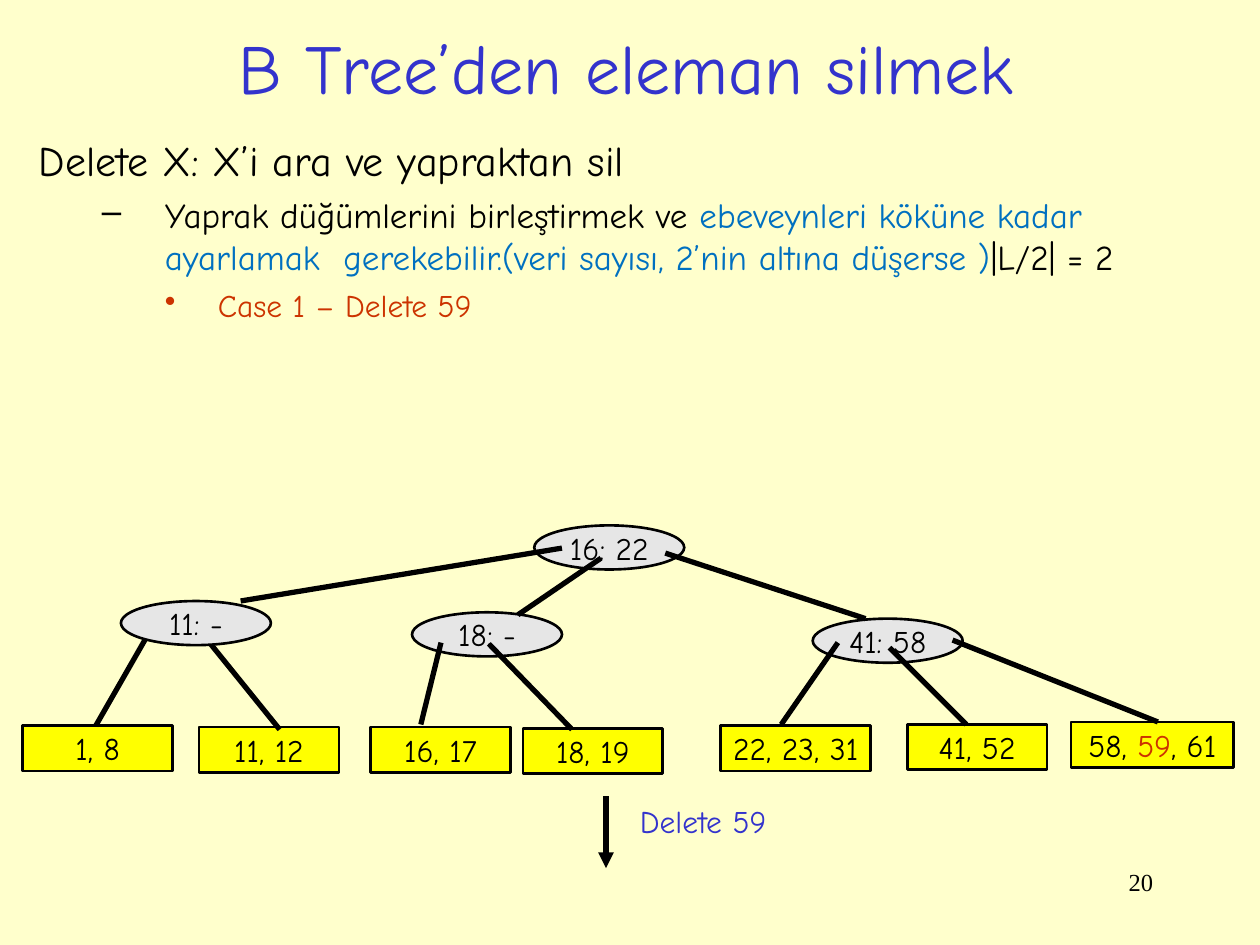
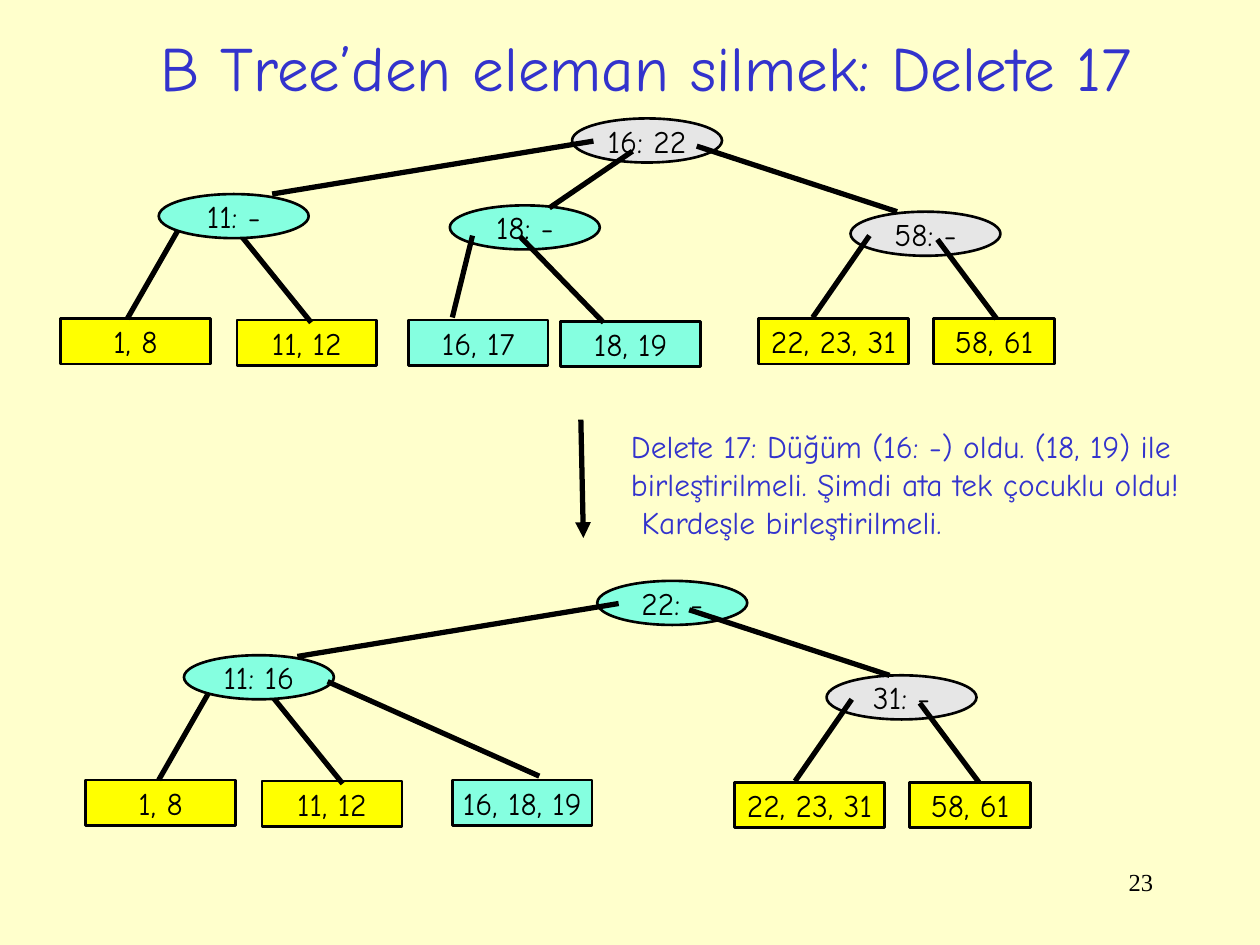
"""Two slides on deleting elements from a B tree, drawn on a grid of 100 columns by 75 rows."""
from pptx import Presentation
from pptx.dml.color import RGBColor
from pptx.enum.shapes import MSO_CONNECTOR, MSO_SHAPE
from pptx.enum.text import MSO_ANCHOR, MSO_AUTO_SIZE, PP_ALIGN
from pptx.oxml.ns import qn
from pptx.util import Inches, Pt
from lxml.etree import SubElement

COLUMNS, ROWS = 100, 75
HAND, SERIF = "Comic Neue", "Times New Roman"
INK, TITLE, RED, BLUE = "000000", "3333CC", "CC3300", "0070C0"
PAPER, GRAY, YELLOW, MINT = "FFFFCC", "E6E6E6", "FFFF00", "85FFE0"
NODE_WIDTH, NODE_HEIGHT, LEAF_HEIGHT = 11.9, 3.5, 3.6

LEAF_1_8 = ("1, 8", -7.8, 9.9, 11.9, (2.3, 2.4, -2, 9.9))
LEAF_11_12 = ("11, 12", 6.2, 10, 11.1, (6.3, 2.4, 12.6, 10.2))
LEAF_16_17 = ("16, 17", -3.3, 9.1, 11.1, (2.3, 2.4, 0.7, 8.9))
LEAF_18_19 = ("18, 19", 8.8, 9.2, 11.1, (6.1, 2.5, 12.7, 9.3))
LEAF_22_31 = ("22, 23, 31", -7.3, 8.5, 11.9, (2, 1.9, -2.5, 8.4))
LEAF_41_52 = ("41, 52", 7.5, 8.4, 11.1, (6.1, 2.3, 12.2, 8.4))
LEAF_58_61 = ("58, 61", 6.6, 8.5, 9.6, (7.4, 2.2, 12.1, 8.5))
LEAF_58_59_61 = ([("58, ", INK), ("59", RED), (", 61", INK)],
                 20.5, 8.2, 12.9, (11.1, 1.7, 27.4, 8.2))
LEAF_16_18_19 = ("16, 18, 19", 21.3, 9.9, 11.1, (11.4, 2.1, 28.2, 9.6))
ROOT_EDGES = [(2.2, 1.8, -23.3, 6), (5.3, 2.6, -1.3, 7.1), (10.4, 2.2, 26.3, 7.4)]


def color(hex_string):
    """Turn a hex string into a colour."""
    return RGBColor.from_string(hex_string)


class Deck:
    """Holds the shared style and the slide being built."""

    def __init__(self):
        """Open a deck with the paper background."""
        self.prs = Presentation()
        self.prs.slide_width, self.prs.slide_height = Inches(10), Inches(7.5)
        background = self.prs.slide_master.background.fill
        background.solid()
        background.fore_color.rgb = color(PAPER)
        self.slide = None

    def place(self, *cells):
        """Convert alternating columns and rows to lengths."""
        units = self.prs.slide_width / COLUMNS, self.prs.slide_height / ROWS
        return [round(cell * units[i % 2]) for i, cell in enumerate(cells)]

    def start(self, title, width, size, number):
        """Add a slide with its title and number."""
        self.slide = self.prs.slides.add_slide(self.prs.slide_layouts[5])
        heading = self.slide.shapes.title
        heading.left, heading.top, heading.width, heading.height = self.place(7.2, 1.5, width, 7.6)
        frame = heading.text_frame
        frame.vertical_anchor, frame.auto_size = MSO_ANCHOR.MIDDLE, MSO_AUTO_SIZE.NONE
        self.set_text(frame.paragraphs[0], title, size, TITLE, PP_ALIGN.CENTER)
        footer = self.text_frame(71.7, 68.3, 20.8, 5)
        self.set_text(footer.paragraphs[0], number, 14, INK, PP_ALIGN.RIGHT, SERIF)

    def set_text(self, paragraph, content, size, ink=INK, align=PP_ALIGN.LEFT, font=HAND):
        """Fill a paragraph with a string or with (string, colour) pieces."""
        paragraph.alignment = align
        paragraph.font.name, paragraph.font.size = font, Pt(size)
        if isinstance(content, str):
            paragraph.font.color.rgb = color(ink)
            paragraph.add_run().text = content
            return
        for words, tint in content:
            run = paragraph.add_run()
            run.text = words
            run.font.color.rgb = color(tint)

    def text_frame(self, *cells, wrap=True):
        """Add a text box and return its frame."""
        frame = self.slide.shapes.add_textbox(*self.place(*cells)).text_frame
        frame.word_wrap = wrap
        frame.auto_size = MSO_AUTO_SIZE.NONE if wrap else MSO_AUTO_SIZE.SHAPE_TO_FIT_TEXT
        return frame

    def remark(self, lines, *cells):
        """Add unwrapped lines that explain a step."""
        frame = self.text_frame(*cells, wrap=False)
        for i, line in enumerate(lines):
            paragraph = frame.add_paragraph() if i else frame.paragraphs[0]
            self.set_text(paragraph, line, 18, TITLE)

    def outline(self, entries, *cells):
        """Add an outline of (content, size, colour, bullet, margin, hanging, space)."""
        frame = self.text_frame(*cells)
        for level, (content, size, ink, bullet, margin, hanging, space) in enumerate(entries):
            paragraph = frame.add_paragraph() if level else frame.paragraphs[0]
            paragraph.level, paragraph.space_before = level, Pt(space)
            properties = paragraph._p.get_or_add_pPr()
            properties.set("marL", str(self.place(margin)[0]))
            properties.set("indent", str(-self.place(hanging)[0]))
            if bullet:
                tint = SubElement(properties, qn("a:buClr"))
                SubElement(tint, qn("a:srgbClr"), val=ink)
                SubElement(properties, qn("a:buChar"), char=bullet)
            self.set_text(paragraph, content, size, ink)

    def box(self, kind, keys, fill, *cells):
        """Add an outlined shape that holds keys."""
        shape = self.slide.shapes.add_shape(kind, *self.place(*cells))
        shape.shadow.inherit = False
        shape.fill.solid()
        shape.fill.fore_color.rgb = color(fill)
        shape.line.color.rgb, shape.line.width = color(INK), Pt(1.5)
        frame = shape.text_frame
        frame.word_wrap, frame.vertical_anchor = False, MSO_ANCHOR.MIDDLE
        self.set_text(frame.paragraphs[0], keys, 18, align=PP_ALIGN.CENTER)

    def node(self, keys, fill, x, y):
        """Add an inner node."""
        self.box(MSO_SHAPE.OVAL, keys, fill, x, y, NODE_WIDTH, NODE_HEIGHT)

    def edge(self, x, y, ends, arrow=False):
        """Add a line whose ends are offsets from a point."""
        x1, y1, x2, y2 = ends
        line = self.slide.shapes.add_connector(
            MSO_CONNECTOR.STRAIGHT, *self.place(x + x1, y + y1, x + x2, y + y2))
        line.line.color.rgb, line.line.width = color(INK), Pt(3)
        properties = line._element.spPr
        if arrow:
            SubElement(properties.find(qn("a:ln")), qn("a:tailEnd"), type="triangle")
        SubElement(properties, qn("a:effectLst"))

    def branch(self, keys, fill, x, y, leaves, leaf_fill=YELLOW, shift=0, in_front=False):
        """Add a node with its leaves, all placed from the node's corner."""
        if not in_front:
            self.node(keys, fill, x, y)
        for leaf_keys, dx, dy, width, ends in leaves:
            self.box(MSO_SHAPE.RECTANGLE, leaf_keys, leaf_fill, x + dx, y + dy, width, LEAF_HEIGHT)
            self.edge(x + shift, y, ends)
        if in_front:
            self.node(keys, fill, x, y)

    def root(self, keys, fill, x, y, edges, shift=0):
        """Add a root with the edges to its children."""
        self.node(keys, fill, x, y)
        for ends in edges:
            self.edge(x + shift, y, ends)

    def three_branches(self, x, y, fill, leaf_fill, last_keys, last_leaves, shift=0):
        """Add a full tree with its root at the given cell."""
        self.branch("11: -", fill, x - 32.8, y + 6, [LEAF_1_8, LEAF_11_12],
                    shift=shift, in_front=True)
        self.branch("18: -", fill, x - 9.7, y + 6.9, [LEAF_16_17, LEAF_18_19], leaf_fill, shift)
        self.branch(last_keys, GRAY, x + 22.1, y + 7.4, last_leaves, shift=shift)
        self.root("16: 22", GRAY, x, y, ROOT_EDGES, shift)


def delete_59(deck):
    """Build the slide on the simple case."""
    deck.start("B Tree’den eleman silmek", 85, 40, "20")
    rule = [("Yaprak düğümlerini birleştirmek ve ", INK),
            ("ebeveynleri köküne kadar ayarlamak  gerekebilir.(veri sayısı, "
             "2’nin altına düşerse )", BLUE),
            ("|L/2| = 2", INK)]
    deck.outline([("Delete X: X’i ara ve yapraktan sil", 24, INK, None, 5.8, 5.8, 6),
                  (rule, 20, INK, "–", 10, 5, 5),
                  ("Case 1 – Delete 59", 18, RED, "•", 14.2, 4.2, 4.5)],
                 2.1, 10.2, 96.1, 21.6)
    deck.three_branches(42.4, 41.7, GRAY, YELLOW, "41: 58",
                        [LEAF_22_31, LEAF_41_52, LEAF_58_59_61])
    deck.edge(48.1, 63.2, (0, 0, 0, 5.7), arrow=True)
    deck.remark(["Delete 59"], 49.8, 63.2, 12.1, 4)


def delete_17(deck):
    """Build the slide on merging, with the tree before and after."""
    deck.start("B Tree’den eleman silmek: Delete 17", 88.1, 36, "23")
    deck.three_branches(45.4, 9.4, MINT, MINT, "58: -", [LEAF_22_31, LEAF_58_61], shift=-0.5)
    deck.edge(46.1, 33.3, (0, 0, 0.2, 9.4), arrow=True)
    deck.remark(["Delete 17: Düğüm (16: -) oldu. (18, 19) ile",
                 "birleştirilmeli. Şimdi ata tek çocuklu oldu!",
                 " Kardeşle birleştirilmeli."], 49.1, 33.4, 45.7, 10)
    deck.branch("11: 16", MINT, 14.6, 52, [LEAF_1_8, LEAF_11_12], in_front=True)
    merged_keys, dx, dy, width, ends = LEAF_16_18_19
    deck.box(MSO_SHAPE.RECTANGLE, merged_keys, MINT, 14.6 + dx, 52 + dy, width, LEAF_HEIGHT)
    deck.edge(14.6, 52, ends)
    deck.branch("31: -", GRAY, 65.6, 53.6, [LEAF_22_31, LEAF_58_61])
    deck.root("22: -", MINT, 47.4, 46.1, [ROOT_EDGES[0], (7.8, 2.3, 23.7, 7.5)], shift=-0.5)


def main():
    """Build and save both slides."""
    deck = Deck()
    delete_59(deck)
    delete_17(deck)
    deck.prs.save("out.pptx")


if __name__ == "__main__":
    main()
